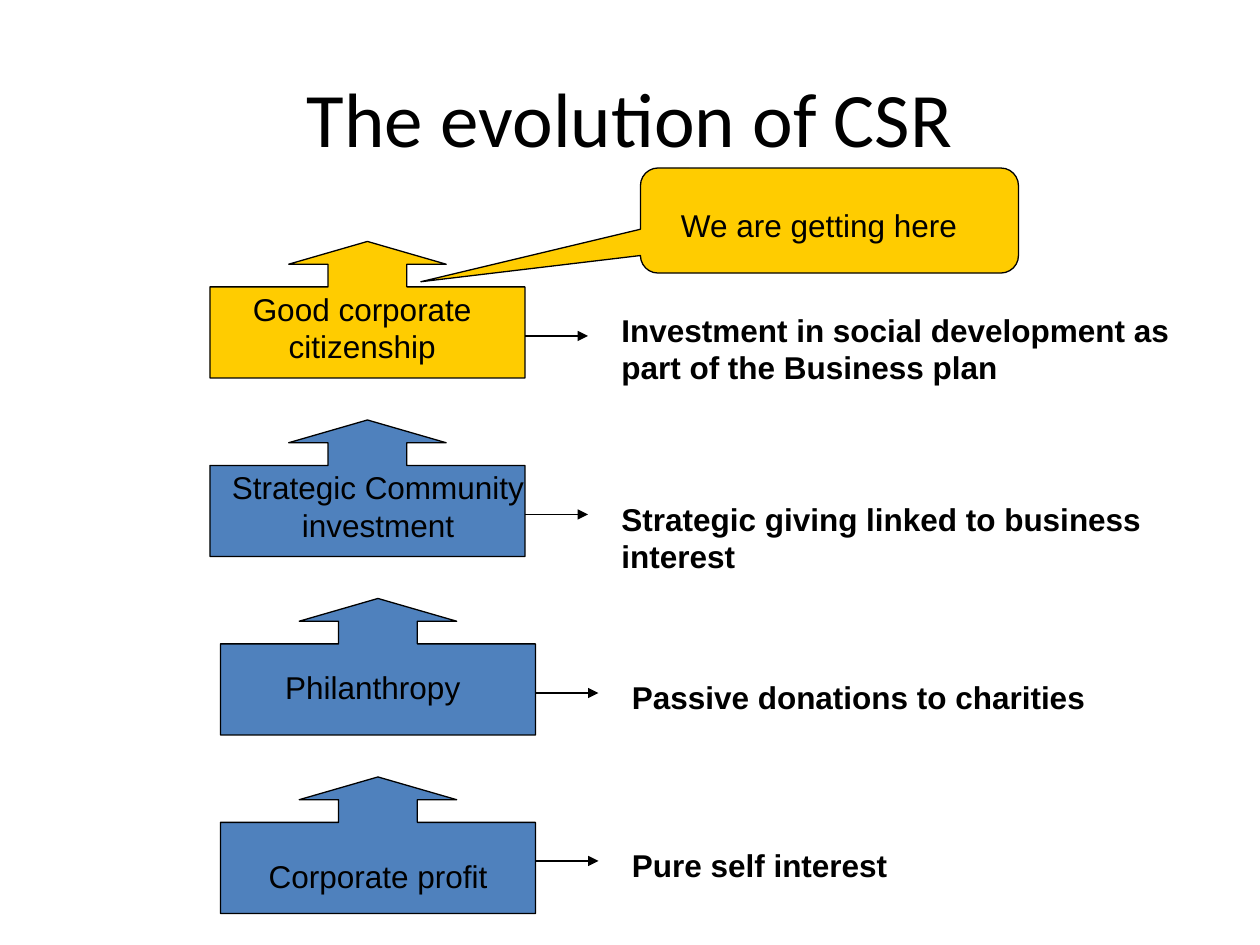
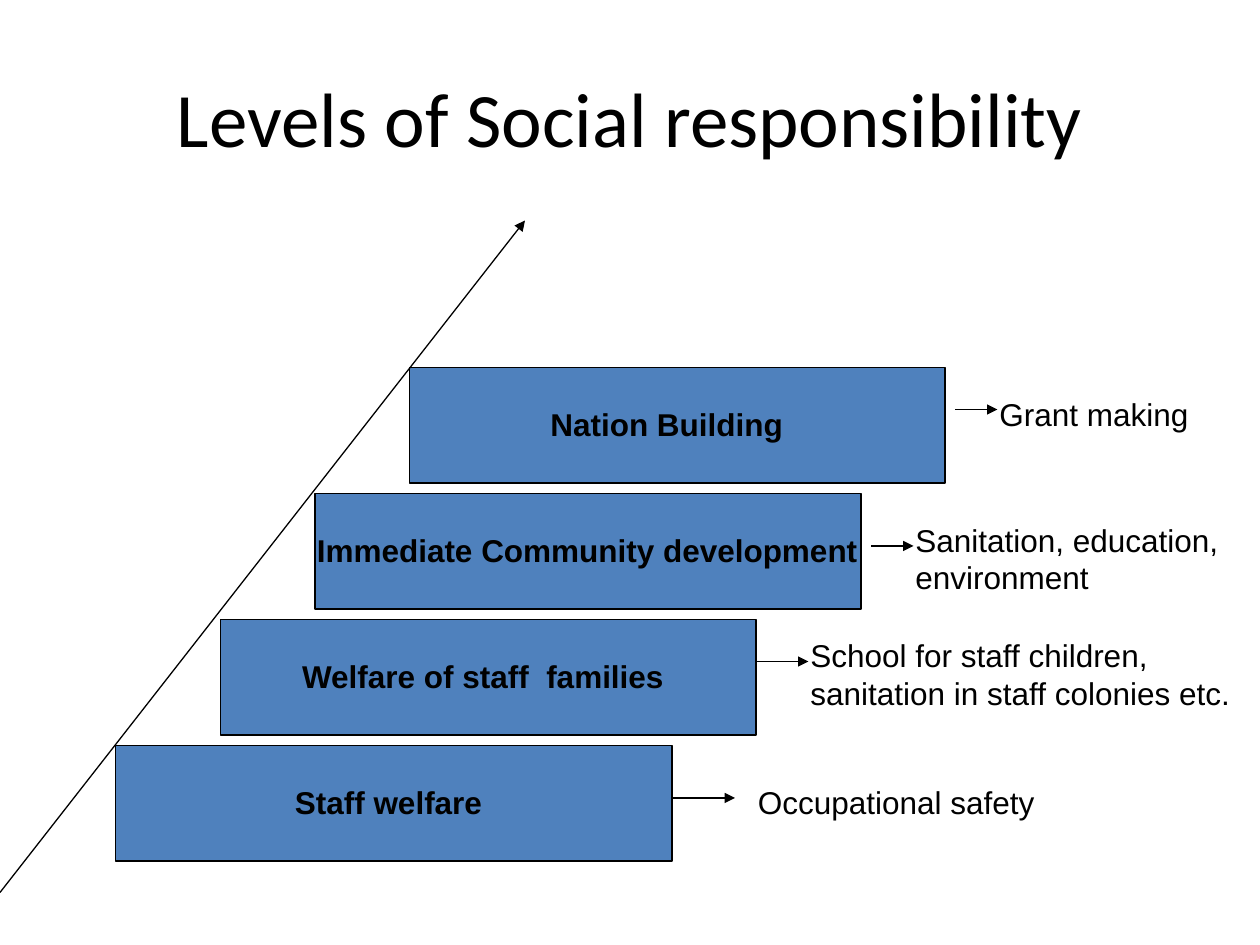
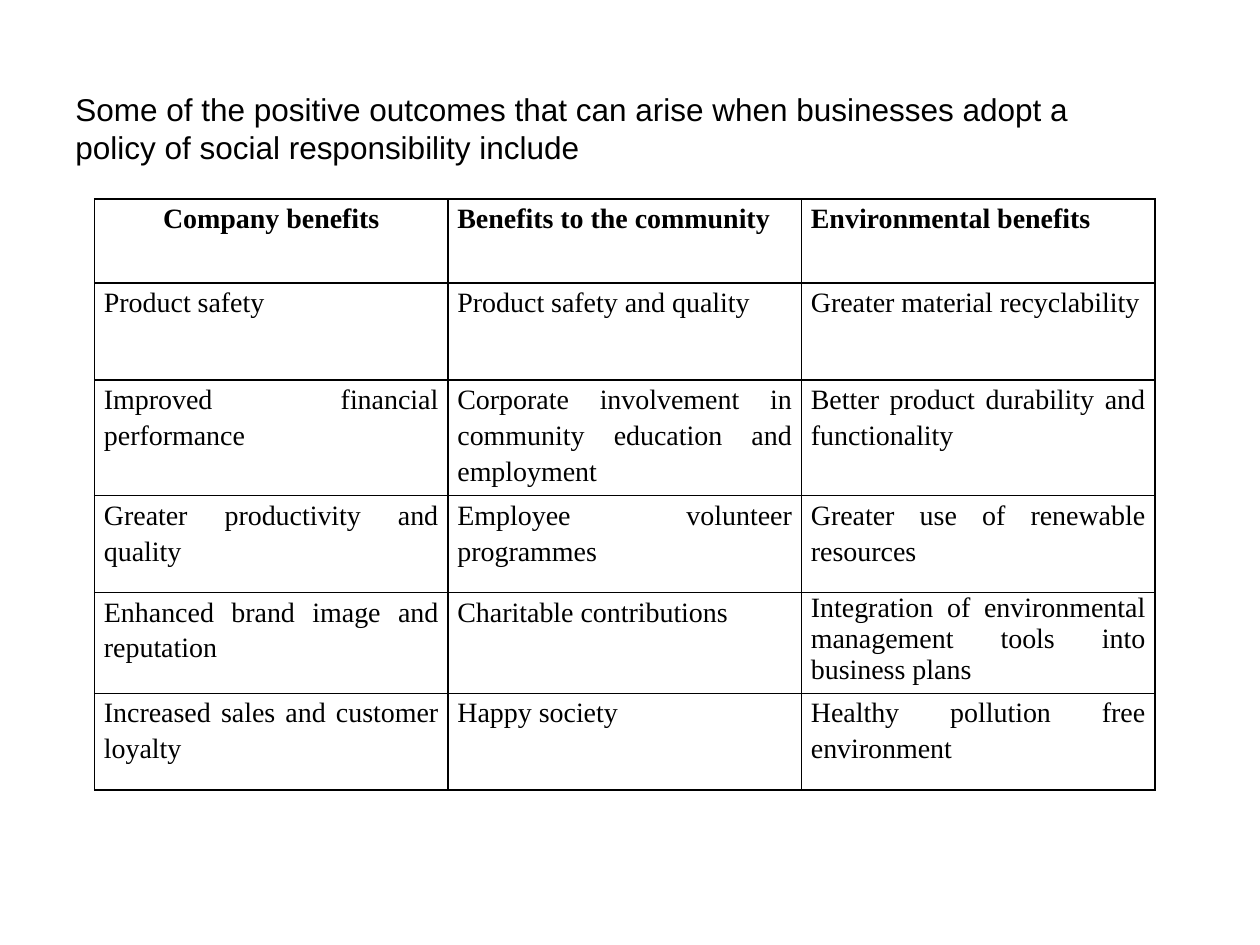
from lxml import etree
from pptx import Presentation
from pptx.dml.color import RGBColor
from pptx.enum import shapes, text
from pptx.oxml import ns
from pptx.util import Pt

BLACK = RGBColor(0, 0, 0)
WHITE = RGBColor(255, 255, 255)
BLUE = RGBColor(0x4F, 0x81, 0xBD)
GOLD = RGBColor(0xFF, 0xCC, 0x00)
LEFT, MID, JUST = text.PP_ALIGN.LEFT, text.PP_ALIGN.CENTER, text.PP_ALIGN.JUSTIFY
BODY = {"name": "Arial", "size": Pt(18), "bold": False}
HEAD = {"name": "Calibri", "size": Pt(44), "bold": False}
CELL = {"name": "Times New Roman", "size": Pt(16), "bold": False}
KIND = shapes.MSO_SHAPE


def write(frame, words, form, align):
    """Fill a text frame with one formatted paragraph and return it."""
    frame.text = words
    frame.word_wrap = True
    para = frame.paragraphs[0]
    para.alignment = align
    for key, value in form.items():
        setattr(para.font, key, value)
    para.font.color.rgb = BLACK
    return para


def label(page, words, x, y, w, bold=False, align=LEFT, lines=1):
    box = page.shapes.add_textbox(Pt(x), Pt(y), Pt(w), Pt(8 + 21 * lines))
    write(box.text_frame, words, BODY | {"bold": bold}, align)
    box.text_frame.auto_size = text.MSO_AUTO_SIZE.SHAPE_TO_FIT_TEXT


deck = Presentation()
deck.slide_width, deck.slide_height = Pt(720), Pt(540)
pages = []
for name in ("The evolution of CSR", "Levels of Social responsibility"):
    page = deck.slides.add_slide(deck.slide_layouts[5])
    title = page.shapes.title
    title.left, title.top, title.width, title.height = Pt(36), Pt(21.6), Pt(648), Pt(90)
    write(title.text_frame, name, HEAD, MID)
    title.text_frame.vertical_anchor = text.MSO_ANCHOR.MIDDLE
    pages.append(page)
growth, levels = pages
blocks = []  # shape, fill, adjustments
arrows = []  # page, x1, y1, x2, y2

# Evolution: stage x, fill, name, name x / dy / width, arrow dy, note, note dy / width, lines
stages = [
    (120, GOLD, "Good corporate citizenship", 114, 24, 186, 54,
     "Investment in social development as part of the Business plan", 36, 336, 2),
    (120, BLUE, "Strategic Community investment", 90, 24, 252, 54,
     "Strategic giving linked to business interest", 42, 372, 2),
    (126, BLUE, "Philanthropy", 132, 36, 162, 54, "Passive donations to charities", 42, 324, 1),
    (126, BLUE, "Corporate profit", 132, 42, 168, 48, "Pure self interest", 36, 330, 1),
]
for i, (x, fill, name, nx, ny, nw, ay, note, ty, tw, lines) in enumerate(stages):
    y = 138 + 102 * i
    step = growth.shapes.add_shape(KIND.UP_ARROW_CALLOUT, Pt(x), Pt(y), Pt(180), Pt(78))
    blocks.append((step, fill, (0.577, 0.577, 0.167, 0.667)))
    label(growth, name, nx, y + ny, nw, align=MID, lines=lines)
    label(growth, note, x + 228, y + ty, tw, bold=True, lines=lines)
    arrows.append((growth, x + 180, y + ay, x + 216, y + ay))

bubble = growth.shapes.add_shape(KIND.ROUNDED_RECTANGULAR_CALLOUT, Pt(366), Pt(96), Pt(216), Pt(60))
blocks.append((bubble, GOLD, (-1.081, 0.583, 0.167)))
label(growth, "We are getting here", 366, 114, 204, align=MID)

# Levels: bar x / width, name, name x / width / align, arrow x1 / x2 / dy, note, note x / dy / width, lines
bars = [
    (234, 306, "Nation Building", 228, 306, MID, 546, 570, 24, "Grant making", 564, 12, 132, 1),
    (180, 312, "Immediate Community development", 174, 330, LEFT, 498, 522, 30,
     "Sanitation, education, environment", 516, 12, 204, 2),
    (126, 306, "Welfare of staff  families", 144, 264, MID, 432, 462, 24,
     "School for staff children, sanitation in staff colonies etc.", 456, 6, 264, 2),
    (66, 318, "Staff welfare", 84, 276, MID, 384, 420, 30, "Occupational safety", 426, 18, 264, 1),
]
for i, (x, w, name, nx, nw, align, x1, x2, ay, note, tx, ty, tw, lines) in enumerate(bars):
    y = 210 + 72 * i
    bar = levels.shapes.add_shape(KIND.RECTANGLE, Pt(x), Pt(y), Pt(w), Pt(66))
    blocks.append((bar, BLUE, ()))
    label(levels, name, nx, y + 18, nw, bold=True, align=align)
    label(levels, note, tx, y + ty, tw, lines=lines)
    arrows.append((levels, x1, y + ay, x2, y + ay))
arrows.append((levels, 0, 510, 300, 126))

for block, fill, bends in blocks:
    block.shadow.inherit = False
    block.fill.solid()
    block.fill.fore_color.rgb = fill
    block.line.color.rgb = BLACK
    block.line.width = Pt(0.75)
    for i, bend in enumerate(bends):
        block.adjustments[i] = bend

for page, x1, y1, x2, y2 in arrows:
    arrow = page.shapes.add_connector(shapes.MSO_CONNECTOR.STRAIGHT, Pt(x1), Pt(y1), Pt(x2), Pt(y2))
    arrow.line.color.rgb = BLACK
    arrow.line.width = Pt(0.75)
    etree.SubElement(arrow.line._get_or_add_ln(), ns.qn("a:tailEnd"), type="triangle")
    etree.SubElement(arrow._element.spPr, ns.qn("a:effectLst"))

# Benefits table
page = deck.slides.add_slide(deck.slide_layouts[6])
label(page, "Some of the positive outcomes that can arise when businesses adopt a policy "
      "of social responsibility include", 36, 48, 612, lines=2)
gains = [
    ("Company benefits", "Benefits to the community", "Environmental benefits"),
    ("Product safety", "Product safety and quality", "Greater material recyclability"),
    ("Improved financial performance",
     "Corporate involvement in community education and employment",
     "Better product durability and functionality"),
    ("Greater productivity and quality", "Employee volunteer programmes",
     "Greater use of renewable resources"),
    ("Enhanced brand image and reputation", "Charitable contributions",
     "Integration of environmental management tools into business plans"),
    ("Increased sales and customer loyalty", "Happy society",
     "Healthy pollution free environment"),
]
grid = page.shapes.add_table(6, 3, Pt(54), Pt(113.8), Pt(606), Pt(325)).table
grid.first_row = grid.horz_banding = False
for col in grid.columns:
    col.width = Pt(202)
for r, row in enumerate(gains):
    grid.rows[r].height = Pt(55.3 if r else 48)
    for c, words in enumerate(row):
        cell = grid.cell(r, c)
        para = write(cell.text_frame, words, CELL | {"bold": r == 0},
                     MID if r == c == 0 else JUST)
        if (r, c) != (4, 2):
            para.line_spacing = 1.15
            para.space_after = Pt(0 if (r, c) == (2, 0) else 10)
        cell.margin_left = cell.margin_right = Pt(5.4)
        cell.margin_top = cell.margin_bottom = 0
        for side in ("lnL", "lnR", "lnT", "lnB"):
            edge = etree.SubElement(cell._tc.get_or_add_tcPr(), ns.qn("a:" + side), w=str(Pt(1)))
            ink = etree.SubElement(edge, ns.qn("a:solidFill"))
            etree.SubElement(ink, ns.qn("a:srgbClr"), val=str(BLACK))
        cell.fill.solid()
        cell.fill.fore_color.rgb = WHITE

deck.save("out.pptx")
